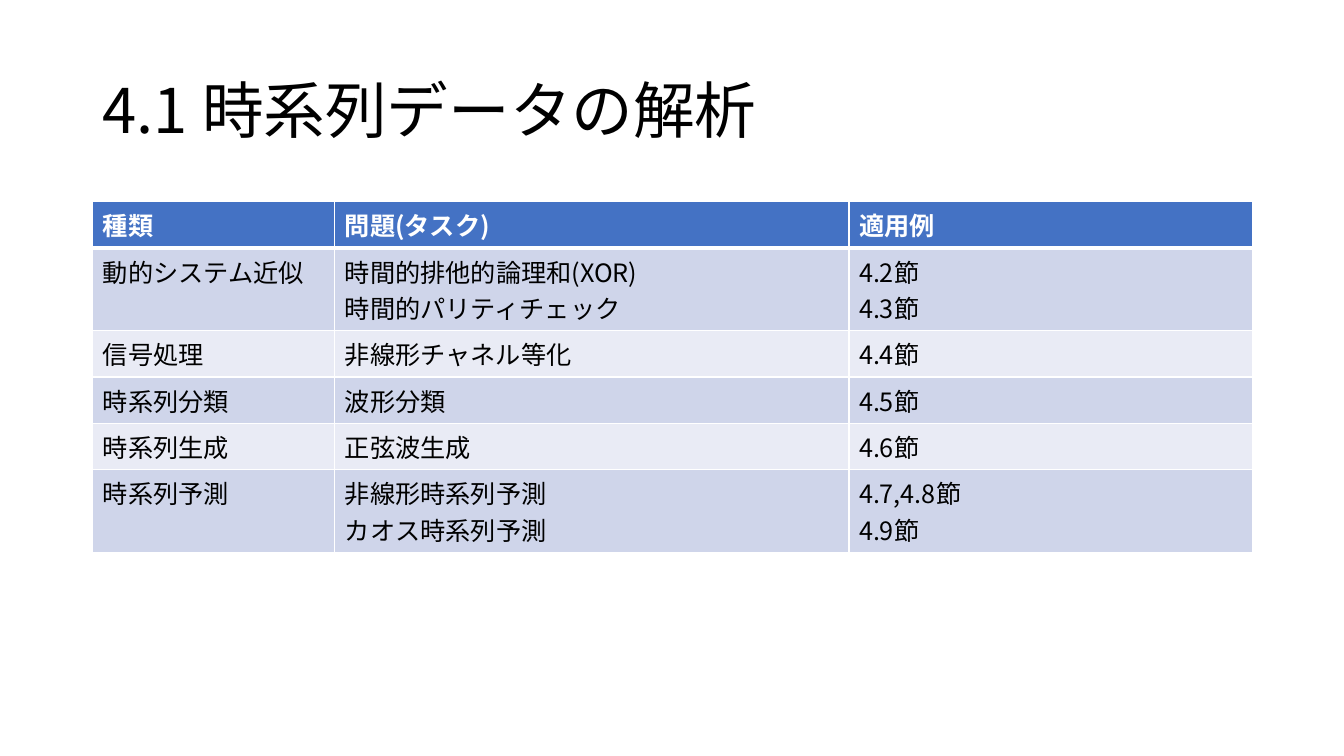
import pptx
import pptx.util
import pptx.dml.color
import pptx.enum.lang
import pptx.enum.text
import pptx.oxml
import pptx.oxml.ns
from pptx.util import Inches

FONT = "Noto Sans CJK JP"
COLORS = {
    "text": "000000",
    "header": "4472C4",
    "header_text": "FFFFFF",
    "odd": "CFD5EA",
    "even": "E9EBF5",
    "border": "FFFFFF",
}
COLUMN_WIDTHS = [2.4, 5.1, 4]
ROWS = [
    ["種類", "問題(タスク)", "適用例"],
    ["動的システム近似", "時間的排他的論理和(XOR)\n時間的パリティチェック", "4.2節\n4.3節"],
    ["信号処理", "非線形チャネル等化", "4.4節"],
    ["時系列分類", "波形分類", "4.5節"],
    ["時系列生成", "正弦波生成", "4.6節"],
    ["時系列予測", "非線形時系列予測\nカオス時系列予測", "4.7,4.8節\n4.9節"],
]


def color(name):
    """Return the named colour as an RGB value."""
    return pptx.dml.color.RGBColor.from_string(COLORS[name])


def write_text(frame, text, size, color_name="text", bold=False, line_spacing=None):
    """Fill a text frame with one formatted paragraph per line."""
    for index, line in enumerate(text.split("\n")):
        para = frame.paragraphs[0] if index == 0 else frame.add_paragraph()
        if line_spacing:
            para.line_spacing = line_spacing
        span = para.add_run()
        span.text = line
        span.font.size = pptx.util.Pt(size)
        span.font.bold = bold
        span.font.name = FONT
        span.font.language_id = pptx.enum.lang.MSO_LANGUAGE_ID.JAPANESE
        span.font.color.rgb = color(color_name)
        latin = span.font._element.find(pptx.oxml.ns.qn("a:latin"))
        latin.addnext(pptx.oxml.parse_xml(
            f'<a:ea {pptx.oxml.ns.nsdecls("a")} typeface="{FONT}"/>'))


def add_title(page, text):
    """Add the slide title."""
    box = page.shapes.add_textbox(Inches(0.92), Inches(0.4), Inches(11.5), Inches(1.45))
    box.text_frame.word_wrap = True
    box.text_frame.vertical_anchor = pptx.enum.text.MSO_ANCHOR.MIDDLE
    write_text(box.text_frame, text, 44, line_spacing=0.9)


def set_borders(cell, **widths):
    """Draw the cell borders with the given widths in points."""
    properties = cell._tc.get_or_add_tcPr()
    for side in "LRTB":
        width = pptx.util.Pt(widths.get(side, 1))
        properties.append(pptx.oxml.parse_xml(
            f'<a:ln{side} {pptx.oxml.ns.nsdecls("a")} w="{width}"><a:solidFill>'
            f'<a:srgbClr val="{COLORS["border"]}"/></a:solidFill></a:ln{side}>'))


def add_task_table(page, rows):
    """Add the banded table of tasks and their sections."""
    frame = page.shapes.add_table(
        len(rows), len(COLUMN_WIDTHS), Inches(0.92), Inches(2), Inches(11.5), Inches(3.48))
    table = frame.table
    for column, width in zip(table.columns, COLUMN_WIDTHS):
        column.width = Inches(width)
    for row_index, row in enumerate(rows):
        lines = max(text.count("\n") + 1 for text in row)
        table.rows[row_index].height = Inches(0.1 + 0.36 * lines)
        header = row_index == 0
        fill = "header" if header else ("odd" if row_index % 2 else "even")
        for column_index, text in enumerate(row):
            cell = table.cell(row_index, column_index)
            set_borders(cell, T=3 if row_index == 1 else 1, B=3 if header else 1)
            cell.fill.solid()
            cell.fill.fore_color.rgb = color(fill)
            write_text(cell.text_frame, text, 18,
                       color_name="header_text" if header else "text", bold=header)


def main():
    """Build the slide and save it."""
    deck = pptx.Presentation()
    deck.slide_width = Inches(13.33)
    deck.slide_height = Inches(7.5)
    page = deck.slides.add_slide(deck.slide_layouts[6])
    add_title(page, "4.1 時系列データの解析")
    add_task_table(page, ROWS)
    deck.save("out.pptx")


if __name__ == "__main__":
    main()
